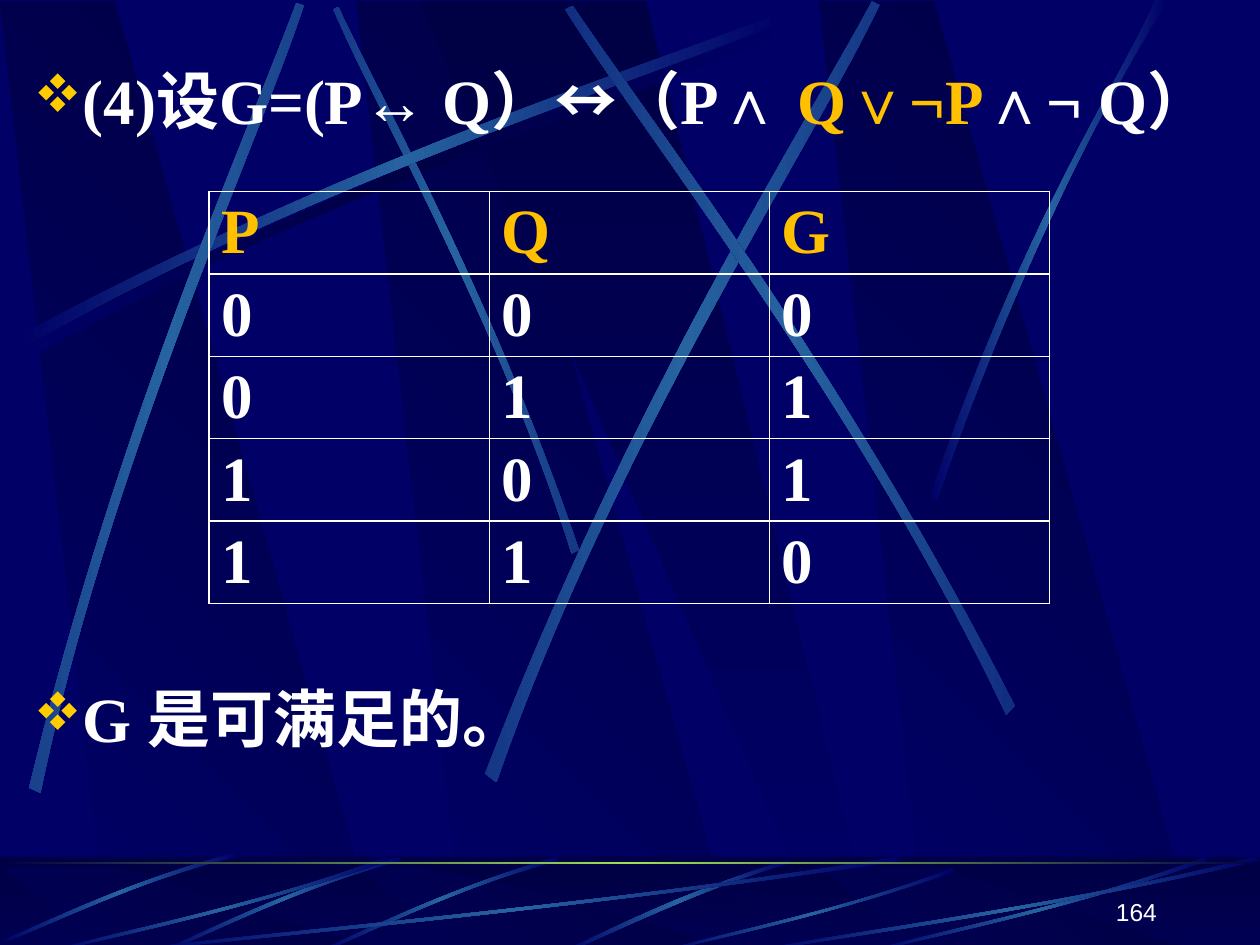
from math import cos, radians, sin

from lxml.etree import SubElement
from pptx import Presentation
from pptx.dml.color import RGBColor
from pptx.enum.shapes import MSO_SHAPE
from pptx.enum.text import MSO_ANCHOR, PP_ALIGN
from pptx.oxml import parse_xml
from pptx.oxml.ns import nsdecls, qn
from pptx.util import Inches, Pt

NAVY, DARK, STEEL, LIME = "000066", "000044", "2663A0", "9CE157"
WHITE, AMBER, GOLD = "FFFFFF", "FFC000", "FFCC00"
GLOW = (NAVY, STEEL, NAVY)

# Streaks: start, two controls, end, then the returning edge in the same form.
LONG_STREAK = [(0.14, 2.67), (2.78, 1.25), (5.18, 0.51), (6.2, 0.1),
               (6.23, 0.16), (5.22, 0.61), (2.48, 1.43), (0.17, 2.77)]
TOP_STREAKS = [
    ([(4.6, 4.36), (3.91, 2.34), (3.02, 0.77), (2.69, 0.05),
      (2.65, 0.07), (2.95, 0.79), (3.98, 2.58), (4.54, 4.39)], 45, (3.62, 2.23)),
    (LONG_STREAK, 0, (0, 0)),
    ([(0.23, 6.25), (0.93, 3.34), (1.97, 1.05), (2.35, 0.02),
      (2.41, 0.04), (2.07, 1.09), (0.86, 3.68), (0.32, 6.29)], 311.7, (1.33, 3.16)),
    ([(3.85, 6.14), (4.98, 3.2), (6.38, 1.02), (6.92, 0.01),
      (6.98, 0.04), (6.49, 1.08), (4.86, 3.55), (3.94, 6.21)], 321.6, (5.43, 3.11)),
    ([(8.06, 5.6), (6.7, 2.93), (5.16, 0.95), (4.55, 0.04),
      (4.49, 0.07), (5.07, 1.01), (6.85, 3.25), (7.99, 5.67)], 34.7, (6.27, 2.86)),
    ([(7.38, 3.94), (8.14, 1.73), (8.88, 0.66), (9.17, 0),
      (9.27, 0), (8.36, 1.45), (7.69, 3.22), (7.44, 3.97)], 0, (0, 0)),
]
SHORT_STREAK = [(3.17, 6.8), (2.3, 7.05), (1.62, 7.4), (1.31, 7.53),
                (1.32, 7.55), (1.63, 7.43), (2.4, 7.03), (3.19, 6.83)]
FOOTER_STREAKS = [
    ([(6.27, 6.82), (5.37, 7.09), (4.77, 7.42), (4.48, 7.54),
      (4.53, 7.55), (4.9, 7.38), (5.71, 7), (6.28, 6.85)], 0, (0, 0)),
    ([(x + 1.25, y) for x, y in SHORT_STREAK], 315, (3.5, 7.18)),
    (SHORT_STREAK, 315, (2.25, 7.18)),
    ([(1.86, 6.77), (0.99, 7), (0.33, 7.34), (0.02, 7.46),
      (0.03, 7.48), (0.34, 7.37), (1.1, 6.98), (1.88, 6.8)], 315, (0.95, 7.13)),
]
UNIT_SWEEP = [(1, 0.04), (0.57, 0.57), (0.17, 0.85), (0.01, 1),
              (0, 0.99), (0.16, 0.81), (0.62, 0.51), (0.99, 0)]
SWEEP_BOXES = [(1, 6.8, 6.17, 0.75), (0.42, 6.8, 2.67, 0.75),
               (5.27, 6.89, 2.31, 0.66), (6.92, 6.8, 2.67, 0.75), (6, 6.8, 4, 0.75)]
TRUTH_TABLE = ["PQG", "000", "011", "101", "110"]


def rgb(color):
    """Turn a hex string into a colour."""
    return RGBColor.from_string(color)


def finish(sp, colors, angle=0):
    """Give a shape a linear gradient of evenly spaced colours, no line and no shadow."""
    sp.shadow.inherit = False
    sp.line.fill.background()
    stops = "".join(
        f'<a:gs pos="{100000 * i // (len(colors) - 1)}"><a:srgbClr val="{c}"/></a:gs>'
        for i, c in enumerate(colors))
    grad = parse_xml(
        f'<a:gradFill {nsdecls("a")} rotWithShape="0"><a:gsLst>{stops}</a:gsLst>'
        f'<a:lin ang="{angle * 60000}" scaled="0"/></a:gradFill>')
    sp._element.spPr.find(qn("a:ln")).addprevious(grad)


def add_outline(s, points, colors, angle=0):
    """Draw a closed polygon through points given in inches."""
    pts = [(Inches(x), Inches(y)) for x, y in points]
    builder = s.shapes.build_freeform(*pts[0], scale=1.0)
    builder.add_line_segments(pts[1:], close=True)
    sp = builder.convert_to_shape()
    finish(sp, colors, angle)
    return sp


def bend(sp):
    """Turn the two long edges of an eight-point outline into cubic curves."""
    path = next(sp._element.iter(qn("a:path")))
    lines = path.findall(qn("a:lnTo"))
    for edge in (lines[:3], lines[4:7]):
        curve = parse_xml(f'<a:cubicBezTo {nsdecls("a")}/>')
        edge[0].addprevious(curve)
        for line in edge:
            curve.append(line[0])
            path.remove(line)


def turn(point, center, degrees):
    """Rotate a point clockwise about a centre."""
    a = radians(degrees)
    dx, dy = point[0] - center[0], point[1] - center[1]
    return (center[0] + dx * cos(a) - dy * sin(a),
            center[1] + dx * sin(a) + dy * cos(a))


def add_streak(s, nodes, rotation=0, center=(0, 0), colors=GLOW):
    """Draw a tapering, curved light streak."""
    sp = add_outline(s, [turn(p, center, -rotation) for p in nodes], colors)
    bend(sp)
    sp.rotation = rotation


def add_stripes(s, top, bottom):
    """Draw the slanted background stripes between two heights."""
    for x in (2.83, 0, 6.5):
        add_outline(s, [(x + 0.86, bottom), (x + 3.02, bottom), (x + 0.91, top), (x, top)],
                    (NAVY, DARK), 315)
    add_outline(s, [(3.33, top), (6.58, bottom), (6.94, bottom), (5.13, top)],
                (DARK, NAVY), 90)


def add_band(s, top, height, colors, angle=0):
    """Draw a full-width rectangle and return it."""
    sp = s.shapes.add_shape(MSO_SHAPE.RECTANGLE, 0, Inches(top), Inches(10), Inches(height))
    finish(sp, colors, angle)
    return sp


def add_background(s):
    """Draw the backdrop and the footer decoration."""
    s.background.fill.solid()
    s.background.fill.fore_color.rgb = rgb(NAVY)
    add_stripes(s, 0.01, 7.52)
    add_streak(s, [(x + 0.06, y + 0.08) for x, y in LONG_STREAK], colors=(NAVY, DARK, NAVY))
    for streak in TOP_STREAKS:
        add_streak(s, *streak)
    add_band(s, 6.8, 0.75, (DARK, NAVY), 90)
    add_stripes(s, 6.88, 7.55)
    veil = add_band(s, 6.8, 0.75, (DARK, DARK))
    veil.fill.solid()
    veil.fill.fore_color.rgb = rgb(DARK)
    SubElement(veil.fill._xPr.find(qn("a:solidFill"))[0], qn("a:alpha")).set("val", "50000")
    for streak in FOOTER_STREAKS:
        add_streak(s, *streak)
    for x, y, w, h in SWEEP_BOXES:
        add_streak(s, [(x + u * w, y + v * h) for u, v in UNIT_SWEEP])
    add_band(s, 6.84, 0.02, (DARK, LIME, DARK))


def style(r, color, size=36, name="Times New Roman", bold=True):
    """Format a run."""
    r.font.size, r.font.name, r.font.bold = Pt(size), name, bold
    r.font.color.rgb = rgb(color)


def add_bullet(p):
    """Give a paragraph a gold diamond bullet with a hanging indent."""
    pPr = p._p.get_or_add_pPr()
    pPr.set("marL", str(Inches(0.38)))
    pPr.set("indent", str(-Inches(0.38)))
    color = SubElement(pPr, qn("a:buClr"))
    SubElement(color, qn("a:srgbClr")).set("val", GOLD)
    SubElement(pPr, qn("a:buSzPct")).set("val", "85000")
    SubElement(pPr, qn("a:buFont"), typeface="Wingdings", charset="2")
    SubElement(pPr, qn("a:buChar")).set("char", "v")


def add_text(s, left, top, width, height):
    """Add a wrapping text box and return its text frame."""
    tf = s.shapes.add_textbox(Inches(left), Inches(top), Inches(width), Inches(height)).text_frame
    tf.word_wrap = True
    return tf


def add_body(s):
    """Write the formula and the conclusion."""
    tf = add_text(s, 0.17, 0.44, 9.67, 6.54)
    lines = [[("(4)设G=(P↔ Q）↔（P∧ ", WHITE), ("Q∨¬P", AMBER), ("∧¬ Q）", WHITE)],
             [("G 是可满足的。", WHITE)]]
    for p, runs in zip((tf.paragraphs[0], tf.add_paragraph()), lines):
        add_bullet(p)
        for text, color in runs:
            r = p.add_run()
            r.text = text
            style(r, color)
    p.space_before = Pt(310)


def add_truth_table(s):
    """Add the truth table with thin white borders."""
    table = s.shapes.add_table(5, 3, Inches(1.66), Inches(1.52), Inches(6.67), Inches(3.27)).table
    table.first_row = table.horz_banding = False
    for i, values in enumerate(TRUTH_TABLE):
        for j, value in enumerate(values):
            cell = table.cell(i, j)
            cell.text = value
            cell.margin_bottom = 0
            style(cell.text_frame.paragraphs[0].runs[0], WHITE if i else AMBER)
            tcPr = cell._tc.get_or_add_tcPr()
            for side in ("lnL", "lnR", "lnT", "lnB"):
                ln = SubElement(tcPr, qn(f"a:{side}"), w=str(Pt(1)))
                SubElement(SubElement(ln, qn("a:solidFill")), qn("a:srgbClr")).set("val", WHITE)
            cell.fill.background()


def add_page_number(s):
    """Write the page number at the lower right."""
    tf = add_text(s, 7.2, 6.9, 2.08, 0.5)
    tf.vertical_anchor = MSO_ANCHOR.BOTTOM
    p = tf.paragraphs[0]
    p.text = "164"
    p.alignment = PP_ALIGN.RIGHT
    style(p.runs[0], WHITE, 14, "Arial", False)


def main():
    """Build and save the slide."""
    prs = Presentation()
    prs.slide_width, prs.slide_height = Inches(10), Inches(7.5)
    s = prs.slides.add_slide(prs.slide_layouts[6])
    add_background(s)
    add_body(s)
    add_truth_table(s)
    add_page_number(s)
    prs.save("out.pptx")


if __name__ == "__main__":
    main()
